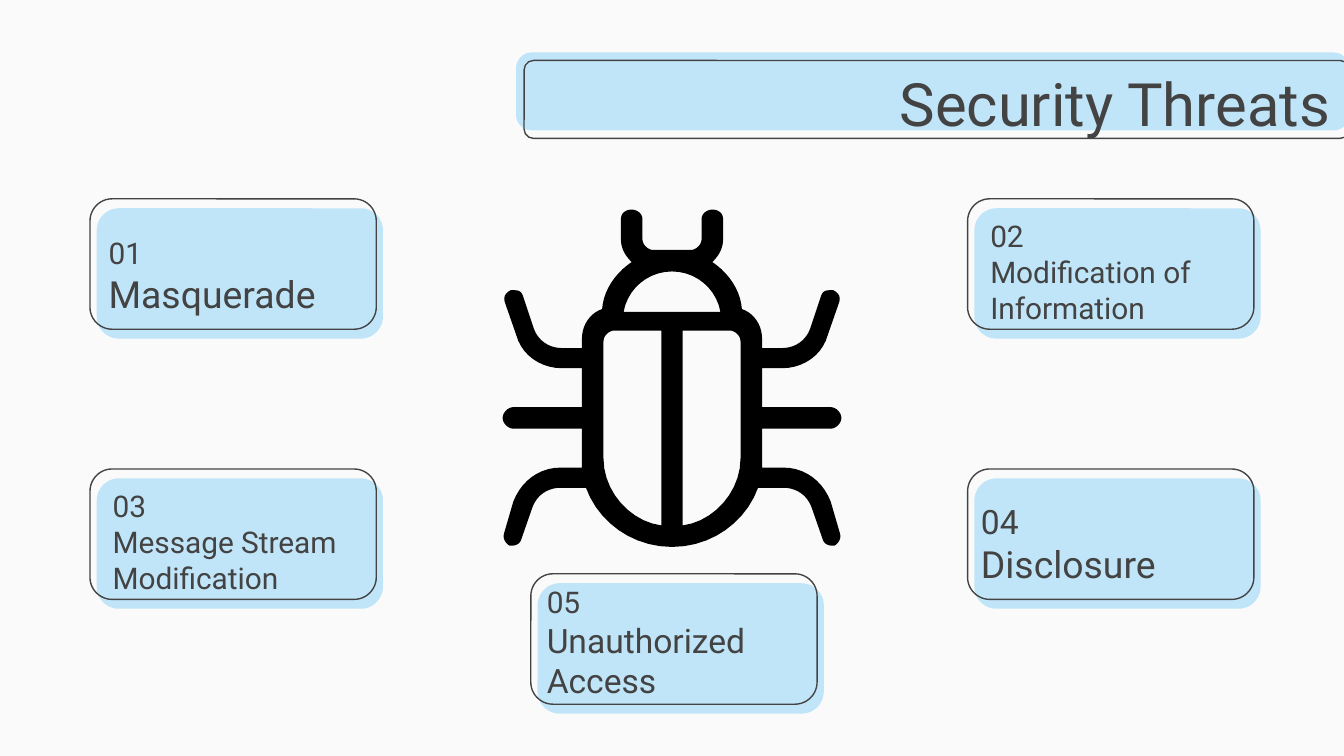
import dataclasses

import pptx
import pptx.dml.color
import pptx.enum.shapes
import pptx.enum.text
import pptx.util

Inches = pptx.util.Inches


@dataclasses.dataclass(frozen=True)
class Theme:
    background: str = "FAFAFA"
    panel: str = "C1E5F8"
    ink: str = "434343"
    bug: str = "000000"
    font: str = "Roboto"
    title: int = 32
    large: int = 20
    medium: int = 18
    small: int = 16
    line: float = 0.75


THEME = Theme()

# Bug contours as (distance from the axis, distance from the top), in inches.
# Two numbers are a line end; six are a Bezier curve.
HALF_OUTLINE = [
    (0, 0.3),
    # Antenna
    (0.14, 0.3), (0.18, 0.3, 0.22, 0.26, 0.22, 0.22), (0.22, 0.07),
    (0.22, 0.03, 0.26, 0, 0.3, 0), (0.35, 0, 0.38, 0.03, 0.38, 0.07),
    (0.38, 0.22), (0.38, 0.29, 0.35, 0.34, 0.3, 0.39),
    # Head and shoulder
    (0.42, 0.47, 0.51, 0.6, 0.52, 0.74), (0.61, 0.77, 0.67, 0.86, 0.67, 0.96),
    # Front leg
    (0.67, 1.03), (0.82, 1.03), (0.92, 1.03, 1, 0.97, 1.03, 0.88),
    (1.11, 0.64), (1.12, 0.61, 1.14, 0.6, 1.17, 0.6), (1.2, 0.6),
    (1.24, 0.62, 1.26, 0.65, 1.24, 0.7), (1.16, 0.93),
    (1.12, 1.08, 0.98, 1.18, 0.82, 1.18), (0.67, 1.18),
    # Middle leg
    (0.67, 1.47), (1.18, 1.47), (1.22, 1.47, 1.26, 1.51, 1.26, 1.55),
    (1.26, 1.59, 1.22, 1.63, 1.18, 1.63), (0.67, 1.63),
    # Back leg
    (0.67, 1.92), (0.83, 1.92), (0.99, 1.92, 1.12, 2.02, 1.18, 2.17),
    (1.25, 2.41), (1.26, 2.45, 1.24, 2.48, 1.21, 2.5), (1.19, 2.5),
    (1.15, 2.5, 1.13, 2.48, 1.12, 2.45), (1.04, 2.22),
    (1.01, 2.13, 0.93, 2.07, 0.83, 2.07), (0.64, 2.07),
    # Tail
    (0.55, 2.32, 0.3, 2.51, 0, 2.51),
]
HALF_HEAD = [(0, 0.46), (0.18, 0.46, 0.33, 0.59, 0.36, 0.76), (0, 0.76)]
WING = [(0.08, 0.9), (0.08, 2.35), (0.31, 2.32, 0.51, 2.1, 0.51, 1.85),
        (0.51, 0.98), (0.51, 0.94, 0.47, 0.9, 0.43, 0.9)]


def rgb(value):
    return pptx.dml.color.RGBColor.from_string(value)


def add_round_rect(s, x, y, w, h, radius, fill=None):
    """A filled panel, or an outline when no fill is given."""
    sp = s.shapes.add_shape(pptx.enum.shapes.MSO_SHAPE.ROUNDED_RECTANGLE,
                            Inches(x), Inches(y), Inches(w), Inches(h))
    sp.adjustments[0] = radius
    sp.shadow.inherit = False
    if fill:
        sp.fill.solid()
        sp.fill.fore_color.rgb = rgb(fill)
        sp.line.fill.background()
    else:
        sp.fill.background()
        sp.line.color.rgb = rgb(THEME.ink)
        sp.line.width = pptx.util.Pt(THEME.line)


def write(sp, lines, anchor, align):
    """Fill a shape with (text, size) paragraphs."""
    tf = sp.text_frame
    tf.word_wrap = True
    tf.auto_size = pptx.enum.text.MSO_AUTO_SIZE.NONE
    tf.vertical_anchor = anchor
    tf.margin_left = tf.margin_right = Inches(0.1)
    tf.margin_top = tf.margin_bottom = Inches(0.1)
    for i, (text, size) in enumerate(lines):
        p = tf.add_paragraph() if i else tf.paragraphs[0]
        p.text = text
        p.alignment = align
        p.line_spacing = 1.0
        p.font.name = THEME.font
        p.font.size = pptx.util.Pt(size)
        p.font.color.rgb = rgb(THEME.ink)


def add_header(s, x, y, w, h, title):
    # Both bars run off the right edge
    add_round_rect(s, x, y, w, h, 0.2, THEME.panel)
    add_round_rect(s, x + 0.06, y + 0.06, w - 0.06, h, 0.12)
    sp = s.shapes.title
    sp.left, sp.top = Inches(x + 1.83), Inches(y + 0.11)
    sp.width, sp.height = Inches(4.33), Inches(0.53)
    write(sp, [(title, THEME.title)], pptx.enum.text.MSO_ANCHOR.MIDDLE,
          pptx.enum.text.PP_ALIGN.RIGHT)
    # Bring the title in front of the bars
    sp.element.getparent().append(sp.element)


def add_card(s, x, y, w, h, lines, text_box):
    """Offset panel, outline and text; text_box is relative to the card."""
    add_round_rect(s, x + 0.05, y + 0.07, w, h, 0.17, THEME.panel)
    add_round_rect(s, x, y, w, h, 0.17)
    dx, dy, text_w, text_h = text_box
    sp = s.shapes.add_textbox(Inches(x + dx), Inches(y + dy),
                              Inches(text_w), Inches(text_h))
    write(sp, lines, pptx.enum.text.MSO_ANCHOR.BOTTOM,
          pptx.enum.text.PP_ALIGN.LEFT)


def flatten(segments, steps=10):
    """Turn lines and Bezier curves into a list of points."""
    points = [segments[0]]
    for segment in segments[1:]:
        if len(segment) == 2:
            points.append(segment)
            continue
        controls = [points[-1], segment[:2], segment[2:4], segment[4:]]
        for i in range(1, steps + 1):
            t = i / steps
            weights = ((1 - t) ** 3, 3 * t * (1 - t) ** 2,
                       3 * t * t * (1 - t), t ** 3)
            points.append(tuple(sum(k * c[axis] for k, c in zip(weights, controls))
                                for axis in (0, 1)))
    return points


def mirror(points):
    return [(-x, y) for x, y in reversed(points)]


def add_bug(s, center, top):
    outline, head, wing = map(flatten, (HALF_OUTLINE, HALF_HEAD, WING))
    contours = [outline + mirror(outline), head + mirror(head),
                wing, mirror(wing)]
    builder = None
    for contour in contours:
        points = [(Inches(center + x), Inches(top + y)) for x, y in contour]
        if builder is None:
            builder = s.shapes.build_freeform(*points[0])
        else:
            builder.move_to(*points[0])
        builder.add_line_segments(points[1:], close=True)
    sp = builder.convert_to_shape()
    sp.shadow.inherit = False
    sp.fill.solid()
    sp.fill.fore_color.rgb = rgb(THEME.bug)
    sp.line.fill.background()


def add_threats_slide(prs):
    s = prs.slides.add_slide(prs.slide_layouts[5])
    s.background.fill.solid()
    s.background.fill.fore_color.rgb = rgb(THEME.background)
    add_header(s, 3.84, 0.39, 6.2, 0.58, "Security Threats")
    add_bug(s, 5, 1.56)

    # Cards: position, name, number size, name size, text box in the card
    left, right, upper, lower = 0.67, 7.2, 1.48, 3.49
    cards = [
        (left, upper, "Masquerade", THEME.small, THEME.large,
         (0.04, 0.01, 2.13, 0.96)),
        (right, upper, "Modification of Information", THEME.small, THEME.small,
         (0.07, 0.01, 2.06, 1.03)),
        (left, lower, "Message Stream Modification", THEME.small, THEME.small,
         (0.07, 0, 2.07, 1.04)),
        (right, lower, "Disclosure", THEME.medium, THEME.large,
         (0, 0, 2.18, 0.97)),
        (3.95, 4.27, "Unauthorized Access", THEME.small, THEME.medium,
         (0.02, 0, 2.07, 1.04)),
    ]
    for number, (x, y, name, number_size, name_size, text_box) in enumerate(cards, 1):
        lines = [(f"{number:02}", number_size), (name, name_size)]
        add_card(s, x, y, 2.13, 0.97, lines, text_box)


def main():
    prs = pptx.Presentation()
    # Widescreen, 16:9
    prs.slide_width = Inches(10)
    prs.slide_height = prs.slide_width * 9 // 16
    add_threats_slide(prs)
    prs.save("out.pptx")


if __name__ == "__main__":
    main()
